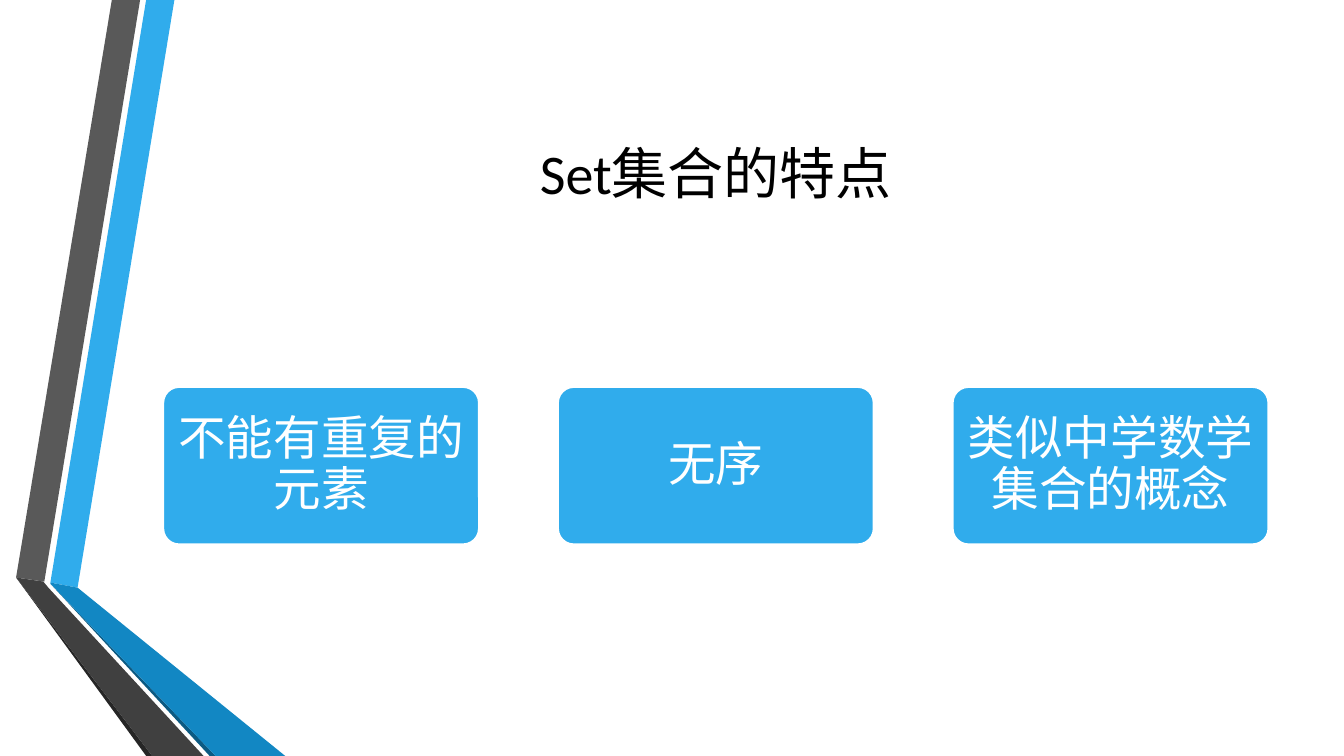
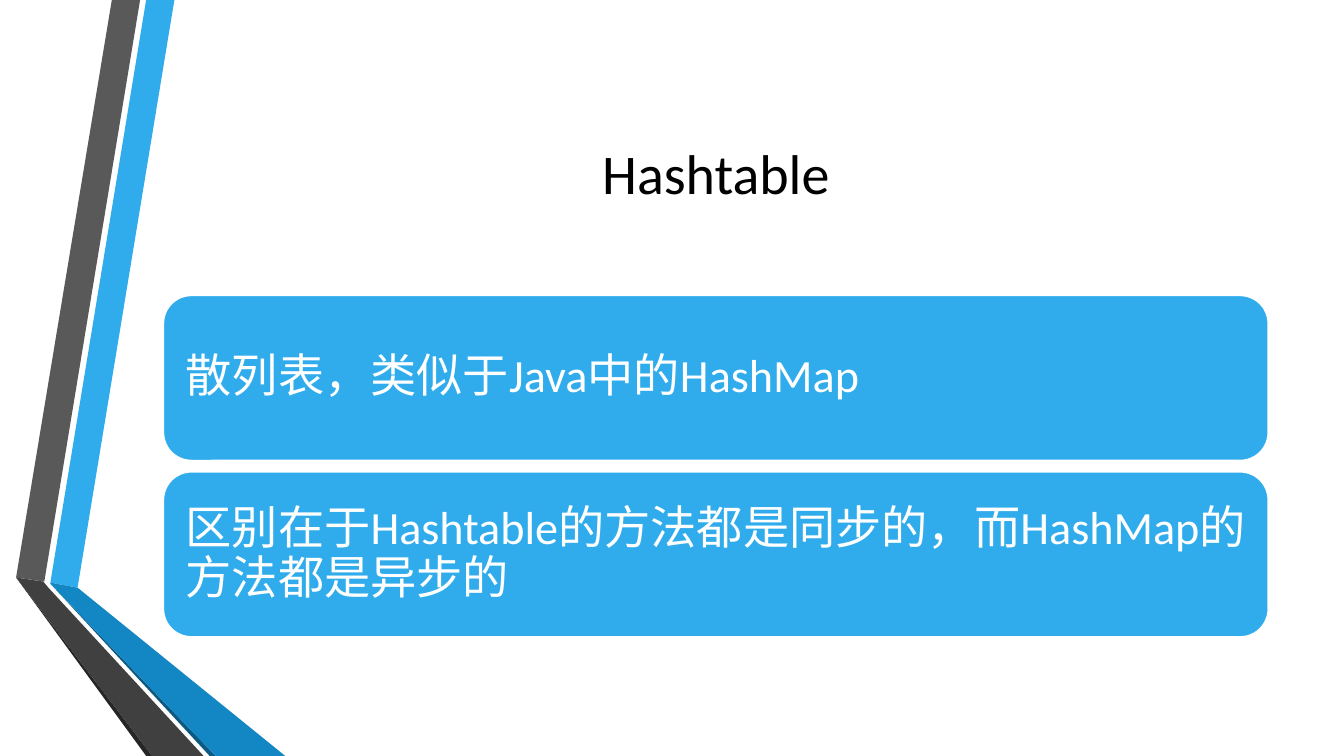
from pptx import Presentation
from pptx import util as u
from pptx.dml.color import RGBColor
from pptx.enum import shapes, text

FONT = "Calibri"
BLUE, WHITE, BLACK = "30ACEC", "FFFFFF", "000000"

# Content area shared by titles and cards, in inches
LEFT, WIDTH = 1.62, 10.96

# Folded ribbons at the left edge: colour and corner points
RIBBONS = [
    (BLUE, [(0.5, 5.78), (0.77, 5.83), (1.73, 0), (1.45, 0)]),
    ("595959", [(1.39, 0), (1.11, 0), (0.16, 5.73), (0.44, 5.77)]),
    ("262626", [(0.16, 5.73), (1.45, 7.5), (1.51, 7.5)]),
    ("0C5A82", [(0.5, 5.79), (2.08, 7.5), (2.14, 7.5)]),
    ("1287C3", [(0.5, 5.78), (0.5, 5.79), (2.14, 7.5), (2.83, 7.5), (0.77, 5.83)]),
    ("404040", [(2.02, 7.5), (0.48, 5.83), (0.43, 5.77), (0.16, 5.73), (1.51, 7.5)]),
]


def color(value):
    return RGBColor.from_string(value)


def place(shape, left, top, width, height):
    shape.left, shape.top = u.Inches(left), u.Inches(top)
    shape.width, shape.height = u.Inches(width), u.Inches(height)


def write(shape, words, size, font_color, align):
    frame = shape.text_frame
    frame.text = words
    frame.word_wrap = True
    frame.vertical_anchor = text.MSO_ANCHOR.MIDDLE
    paragraph = frame.paragraphs[0]
    paragraph.alignment = align
    font = paragraph.runs[0].font
    font.name, font.size = FONT, u.Pt(size)
    font.color.rgb = color(font_color)
    return paragraph


def prepare_layout(layout):
    """Keep only the title placeholder and set its place."""
    for placeholder in list(layout.placeholders):
        if placeholder.placeholder_format.type == shapes.PP_PLACEHOLDER.TITLE:
            place(placeholder, LEFT, 0.75, WIDTH, 1.92)
        else:
            placeholder.element.getparent().remove(placeholder.element)


def add_ribbons(slide):
    """Build the ribbons and move them to the layout, behind the title."""
    tree = slide.slide_layout.shapes.element
    for index, (fill, points) in enumerate(RIBBONS):
        corners = [(u.Inches(x), u.Inches(y)) for x, y in points]
        builder = slide.shapes.build_freeform(*corners[0])
        builder.add_line_segments(corners[1:], close=True)
        ribbon = builder.convert_to_shape()
        ribbon.fill.solid()
        ribbon.fill.fore_color.rgb = color(fill)
        ribbon.line.fill.background()
        ribbon.shadow.inherit = False
        ribbon.name = f"Ribbon {index + 1}"
        tree.insert(2 + index, ribbon.element)


def add_title_slide(presentation, layout, title):
    slide = presentation.slides.add_slide(layout)
    write(slide.shapes.title, title, 40, BLACK, text.PP_ALIGN.CENTER)
    return slide


def add_card(slide, box, words, size, align, inset, rounding):
    card = slide.shapes.add_shape(
        shapes.MSO_SHAPE.ROUNDED_RECTANGLE, *(u.Inches(length) for length in box))
    card.adjustments[0] = rounding
    card.shadow.inherit = False
    card.fill.solid()
    card.fill.fore_color.rgb = color(BLUE)
    card.line.color.rgb = color(WHITE)
    card.line.width = u.Pt(1.25)
    frame = card.text_frame
    frame.margin_left = frame.margin_right = u.Inches(inset)
    frame.margin_top = frame.margin_bottom = u.Inches(min(inset, 0.05) if inset < 0.1 else inset)
    write(card, words, size, WHITE, align).line_spacing = 0.9


def add_card_row(slide, items, top=3.84, width=3.13, height=1.56):
    step = (WIDTH - width) / (len(items) - 1)
    for column, words in enumerate(items):
        box = (LEFT + column * step, top, width, height)
        add_card(slide, box, words, 34, text.PP_ALIGN.CENTER, 0.07, 0.1)


def add_card_stack(slide, items, top=2.93, height=1.64, gap=0.11):
    for row, words in enumerate(items):
        box = (LEFT, top + row * (height + gap), WIDTH, height)
        add_card(slide, box, words, 33, text.PP_ALIGN.LEFT, 0.14, 0.17)


def main():
    presentation = Presentation()
    presentation.slide_width, presentation.slide_height = u.Inches(13.33), u.Inches(7.5)
    layout = presentation.slide_layouts.get_by_name("Title Only")
    prepare_layout(layout)

    # Features of a set
    slide = add_title_slide(presentation, layout, "Set集合的特点")
    add_ribbons(slide)
    add_card_row(slide, ["不能有重复的元素", "无序", "类似中学数学集合的概念"])

    # Hashtable
    slide = add_title_slide(presentation, layout, "Hashtable")
    add_card_stack(slide, [
        "散列表，类似于Java中的HashMap",
        "区别在于Hashtable的方法都是同步的，而HashMap的方法都是异步的",
    ])

    presentation.save("out.pptx")


if __name__ == "__main__":
    main()
